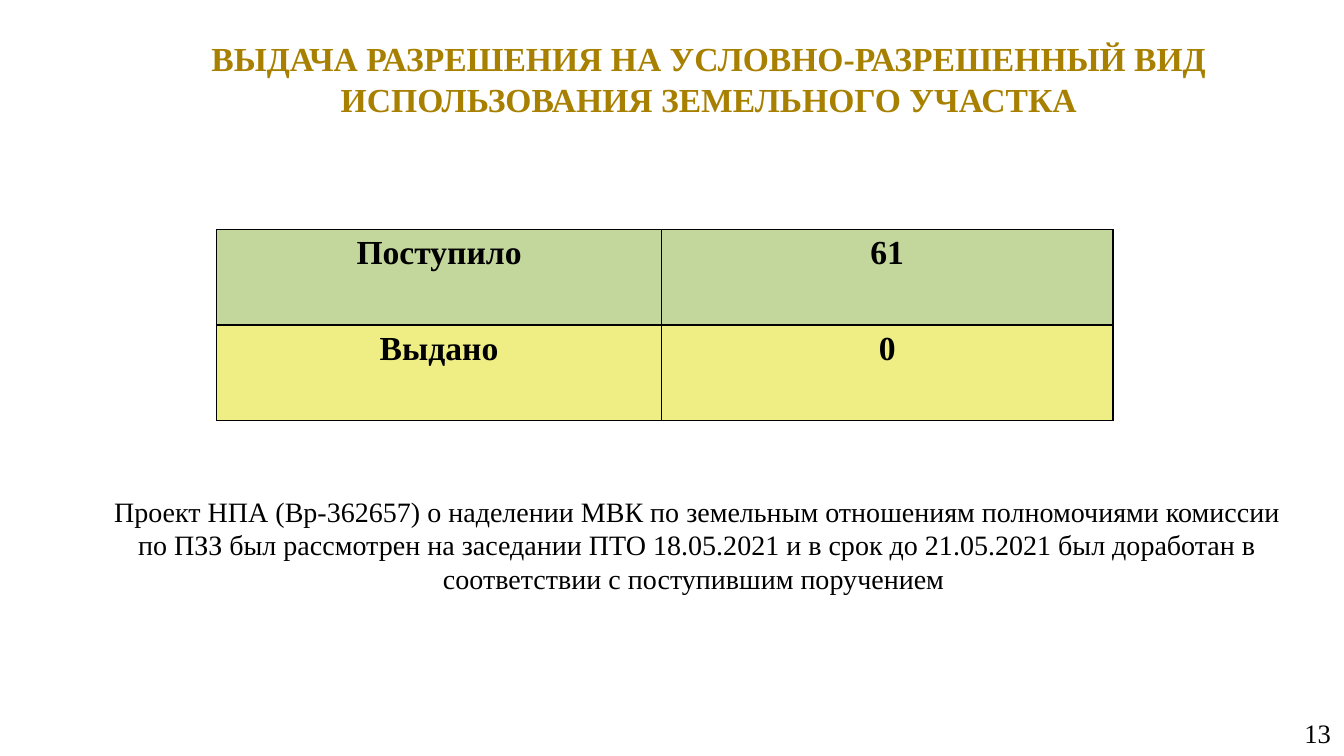
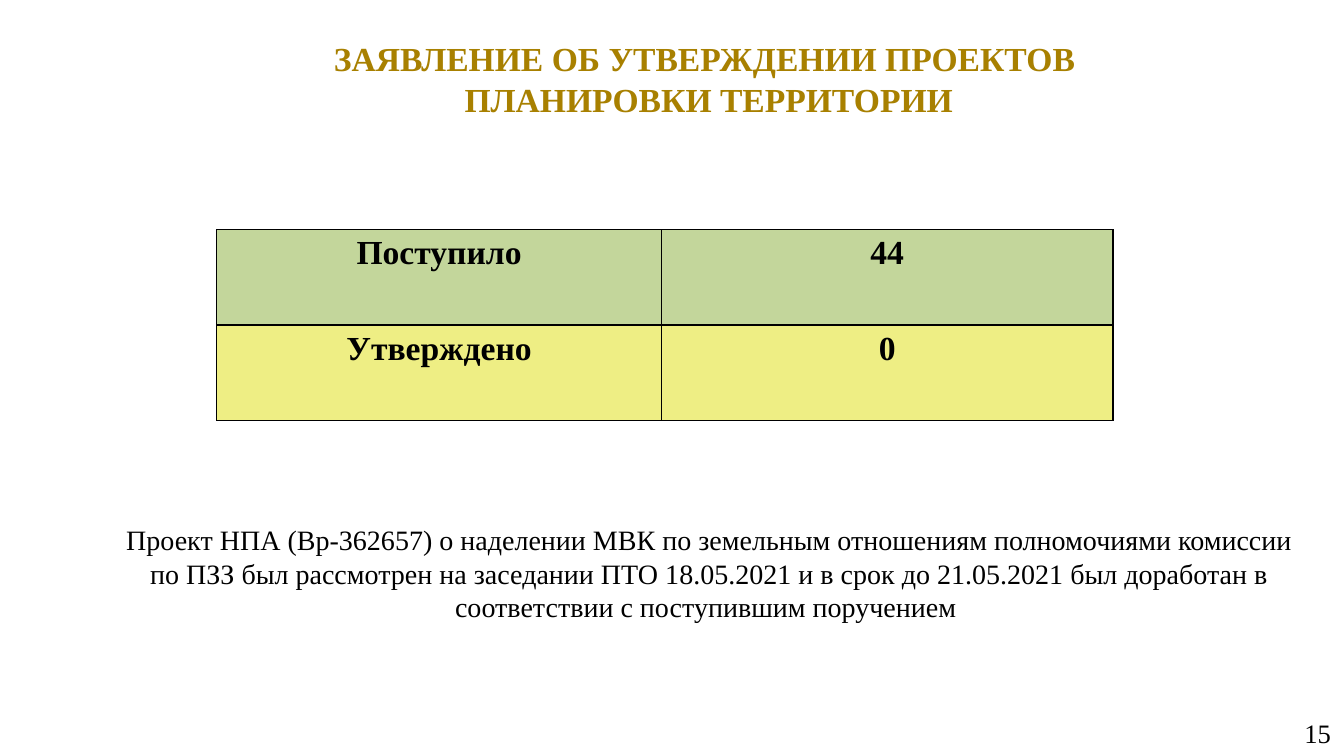
from copy import deepcopy

from lxml import etree
from pptx import Presentation
from pptx.dml.color import RGBColor
from pptx.enum.text import MSO_ANCHOR, MSO_AUTO_SIZE, PP_ALIGN
from pptx.oxml.ns import qn
from pptx.util import Inches, Pt

CENTER, RIGHT = PP_ALIGN.CENTER, PP_ALIGN.RIGHT
TOP, MIDDLE = MSO_ANCHOR.TOP, MSO_ANCHOR.MIDDLE
NO_FIT = MSO_AUTO_SIZE.NONE

# Shared look
FONT = "Times New Roman"
GOLD = RGBColor(0xA8, 0x80, 0x00)
BLACK = RGBColor(0x00, 0x00, 0x00)
GREEN = RGBColor(0xC3, 0xD6, 0x9B)
YELLOW = RGBColor(0xEE, 0xEE, 0x84)
ROW_FILLS = (GREEN, YELLOW)
BORDER_WIDTH = Pt(0.96)
TITLE_ONLY = 5

# Areas as percent of the slide: left, top, width, height
SLIDE_WIDTH, SLIDE_HEIGHT = Inches(13.33), Inches(7.5)
TITLE_AREA = (9.83, 3.73, 85.82, 13.33)
TABLE_AREA = (16.13, 30.4, 66.69, 25.2)
NUMBER_AREA = (76.67, 94.27, 23.33, 5.33)
LABEL_SHARE = 0.496

NOTE = (
    "Проект НПА (Вр-362657) о наделении МВК по земельным отношениям "
    "полномочиями комиссии по ПЗЗ был рассмотрен на заседании ПТО 18.05.2021 "
    "и в срок до 21.05.2021 был доработан в соответствии с поступившим поручением "
)

PAGES = (
    {
        "title": "ВЫДАЧА РАЗРЕШЕНИЯ НА УСЛОВНО-РАЗРЕШЕННЫЙ ВИД "
                 "ИСПОЛЬЗОВАНИЯ ЗЕМЕЛЬНОГО УЧАСТКА",
        "rows": (("Поступило", "61"), ("Выдано", "0")),
        "note_area": (7.2, 62.93, 89.35, 18.27),
        "number": "13",
    },
    {
        "title": "ЗАЯВЛЕНИЕ ОБ УТВЕРЖДЕНИИ ПРОЕКТОВ \nПЛАНИРОВКИ ТЕРРИТОРИИ",
        "rows": (("Поступило", "44"), ("Утверждено", "0")),
        "note_area": (8.1, 66.4, 89.35, 18.8),
        "number": "15",
    },
)


def to_lengths(area):
    """Turn percentages of the slide into lengths."""
    sizes = (SLIDE_WIDTH, SLIDE_HEIGHT) * 2
    return [round(size * share / 100) for size, share in zip(sizes, area)]


def write_text(frame, text, *, size, color=BLACK, bold=False, align=CENTER):
    para = frame.paragraphs[0]
    para.text = text
    para.alignment = align
    for span in para.runs:
        span.font.name = FONT
        span.font.size = Pt(size)
        span.font.bold = bold
        span.font.color.rgb = color
    # Line breaks take the format of the text around them
    for line_break in para._p.findall(qn("a:br")):
        line_break.append(deepcopy(para.runs[0].font._rPr))


def set_frame(frame):
    frame.word_wrap = True
    frame.auto_size = NO_FIT
    frame.vertical_anchor = MIDDLE
    frame.margin_left = frame.margin_right = Inches(0.13)
    frame.margin_top = frame.margin_bottom = Inches(0.07)


def add_title(page, text):
    title = page.shapes.title
    title.left, title.top, title.width, title.height = to_lengths(TITLE_AREA)
    set_frame(title.text_frame)
    write_text(title.text_frame, text, size=24, color=GOLD, bold=True)


def add_text(page, area, text, **text_format):
    box = page.shapes.add_textbox(*to_lengths(area))
    set_frame(box.text_frame)
    write_text(box.text_frame, text, **text_format)


def add_borders(cell):
    properties = cell._tc.get_or_add_tcPr()
    for position, side in enumerate(("a:lnL", "a:lnR", "a:lnT", "a:lnB")):
        line = etree.Element(qn(side), w=str(BORDER_WIDTH))
        fill = etree.SubElement(line, qn("a:solidFill"))
        etree.SubElement(fill, qn("a:srgbClr"), val=str(BLACK))
        properties.insert(position, line)


def add_summary_table(page, rows):
    left, top, width, height = to_lengths(TABLE_AREA)
    table = page.shapes.add_table(
        len(rows), len(rows[0]), left, top, width, height).table
    table.columns[0].width = round(width * LABEL_SHARE)
    table.columns[1].width = width - table.columns[0].width
    for row_index, (values, fill) in enumerate(zip(rows, ROW_FILLS)):
        for column_index, value in enumerate(values):
            cell = table.cell(row_index, column_index)
            cell.fill.solid()
            cell.fill.fore_color.rgb = fill
            cell.vertical_anchor = TOP
            cell.margin_left = cell.margin_right = Inches(0.13)
            cell.margin_top = cell.margin_bottom = Inches(0.05)
            write_text(cell.text_frame, value, size=24, bold=True)
            add_borders(cell)


def main():
    deck = Presentation()
    deck.slide_width, deck.slide_height = SLIDE_WIDTH, SLIDE_HEIGHT
    for content in PAGES:
        page = deck.slides.add_slide(deck.slide_layouts[TITLE_ONLY])
        add_title(page, content["title"])
        add_text(page, NUMBER_AREA, content["number"], size=19, align=RIGHT)
        add_summary_table(page, content["rows"])
        add_text(page, content["note_area"], NOTE, size=20)
    deck.save("out.pptx")


if __name__ == "__main__":
    main()
